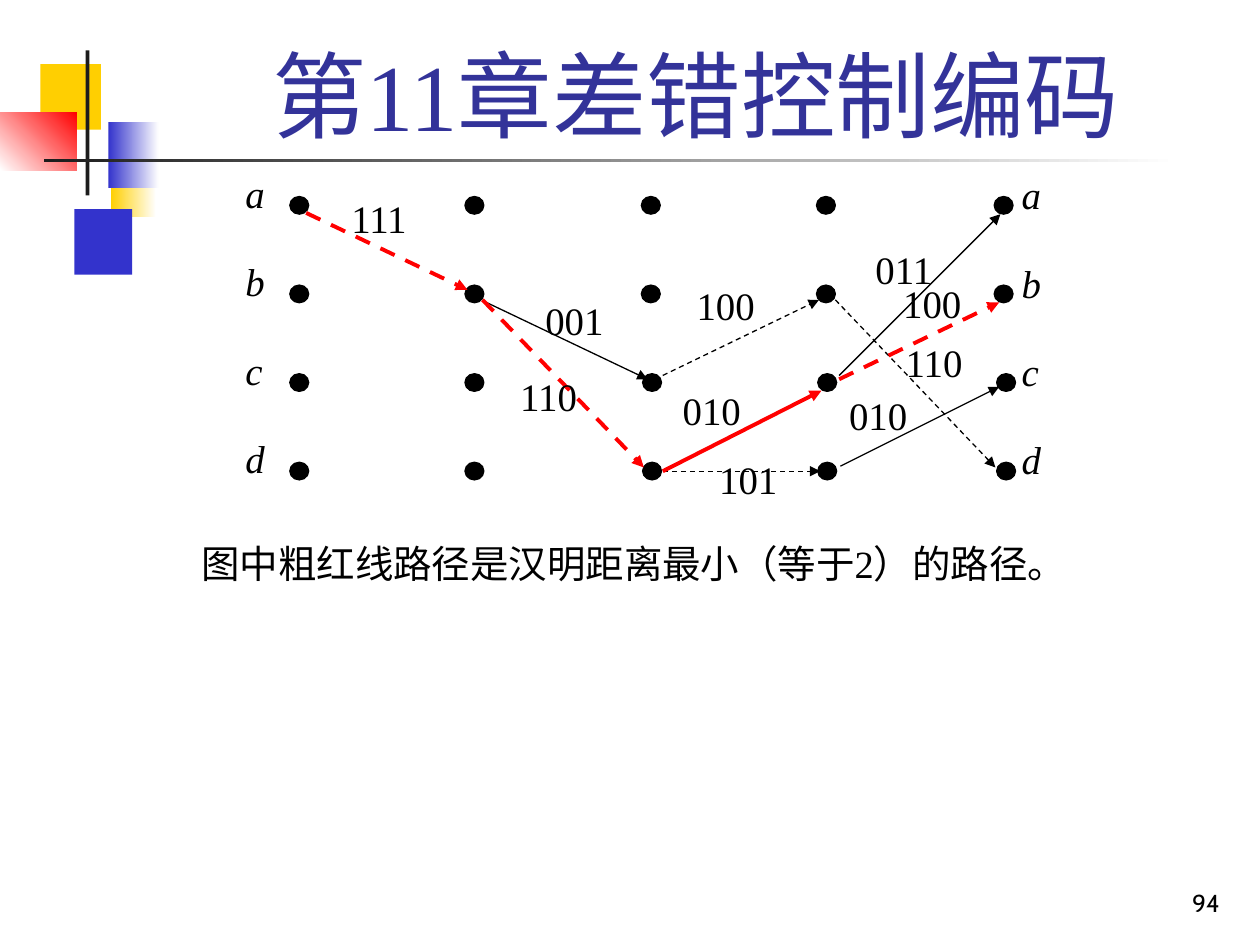
from dataclasses import dataclass
from typing import Optional

from lxml import etree
from pptx import Presentation
from pptx.dml.color import RGBColor
from pptx.enum import dml, shapes, text
from pptx.oxml import ns
from pptx.util import Inches, Pt


@dataclass(frozen=True)
class Theme:
    black: str = "000000"
    white: str = "FFFFFF"
    red: str = "FF0000"
    yellow: str = "FFCF01"
    blue: str = "3333CC"
    dark: str = "1C1C1C"
    title: str = "333399"
    serif: str = "Times New Roman"
    sans: str = "Cabin"
    title_size: float = 54
    caption_size: float = 22
    label_size: float = 22.2
    number_size: float = 14
    thin: float = 0.75
    thick: float = 2.25


@dataclass(frozen=True)
class Block:
    x: float
    y: float
    w: float
    h: float
    color: str
    fade_to: Optional[str] = None
    angle: float = 0


@dataclass(frozen=True)
class Branch:
    start: tuple[float, float]
    end: tuple[float, float]
    dashed: bool = False
    on_path: bool = False


@dataclass(frozen=True)
class Label:
    text: str
    x: float
    y: float
    w: float = 0.77
    h: float = 0.49
    size: float = Theme.label_size
    font: str = Theme.serif
    color: str = Theme.black
    italic: bool = False
    align: text.PP_ALIGN = text.PP_ALIGN.JUSTIFY
    anchor: text.MSO_ANCHOR = text.MSO_ANCHOR.TOP
    spacing: float = 0.9
    before: float = 0


T = Theme()

# Corner decoration, back to front
BACK_BLOCKS = [
    Block(0.88, 1.2, 0.36, 0.52, T.yellow, T.white),
    Block(0.59, 1.66, 0.46, 0.52, T.blue),
]
FRONT_BLOCKS = [
    Block(0.32, 0.51, 0.48, 0.52, T.yellow),
    Block(0.86, 0.97, 0.4, 0.52, T.blue, T.white),
    Block(0, 0.89, 0.61, 0.46, T.white, T.red, 45),
    Block(0.68, 0.4, 0.03, 1.15, T.dark),
    Block(0.35, 1.26, 9, 0.03, T.dark, T.white),
]

# Trellis: states are rows, time steps are columns
STATES = "abcd"
ROW_TOP, ROW_STEP = 1.56, 0.703
UPPER_COLUMNS = (2.3, 3.69, 5.09, 6.48, 7.89)
LOWER_COLUMNS = (2.3, 3.69, 5.1, 6.49, 7.91)
DOT_W, DOT_H = 0.15, 0.14

BRANCHES = [
    Branch((5.26, 3.74), (6.51, 3.74), dashed=True),
    Branch((3.86, 2.4), (5.14, 3.01)),
    Branch((6.63, 2.38), (7.9, 3.71), dashed=True),
    Branch((6.66, 2.98), (7.94, 1.7)),
    Branch((5.26, 2.98), (6.5, 2.38), dashed=True),
    Branch((6.66, 3.01), (7.93, 2.4), dashed=True, on_path=True),
    Branch((2.43, 1.69), (3.71, 2.3), dashed=True, on_path=True),
    Branch((3.83, 2.38), (5.11, 3.71), dashed=True, on_path=True),
    Branch((5.26, 3.74), (6.52, 3.1), on_path=True),
    Branch((6.67, 3.7), (7.93, 3.07)),
]
CODES = [
    Label("011", 6.85, 1.94),
    Label("010", 5.32, 3.06),
    Label("010", 6.64, 3.1),
    Label("101", 5.61, 3.61),
    Label("001", 4.23, 2.35),
    Label("111", 2.69, 1.54),
    Label("100", 7.07, 2.21),
    Label("100", 5.43, 2.23),
    Label("110", 4.03, 2.95),
    Label("110", 7.09, 2.68),
]
STATE_LABELS = [
    Label(state, x, y + i * 0.7, w=0.54, italic=True)
    for x, y in ((8.01, 1.35), (1.85, 1.34))
    for i, state in enumerate(STATES)
]

# Slide text
PAGE_TEXT = [
    Label("94", 7.7, 6.83, 2.08, 0.5, T.number_size, T.sans,
          align=text.PP_ALIGN.RIGHT, anchor=text.MSO_ANCHOR.BOTTOM, spacing=1),
    Label("第11章差错控制编码", 1.26, 0.23, 8.52, 1.01, T.title_size, color=T.title,
          align=text.PP_ALIGN.CENTER, anchor=text.MSO_ANCHOR.BOTTOM, spacing=1),
    Label("图中粗红线路径是汉明距离最小（等于2）的路径。", 1.5, 4.24, 8.5, 0.6,
          T.caption_size, align=text.PP_ALIGN.LEFT, spacing=1, before=5.5),
]


def rgb(color: str) -> RGBColor:
    return RGBColor.from_string(color)


def add_block(parent, b: Block) -> None:
    sp = parent.add_shape(shapes.MSO_SHAPE.RECTANGLE,
                          Inches(b.x), Inches(b.y), Inches(b.w), Inches(b.h))
    sp.shadow.inherit = False
    sp.line.fill.background()
    if b.fade_to is None:
        sp.fill.solid()
        sp.fill.fore_color.rgb = rgb(b.color)
        return
    sp.fill.gradient()
    sp.fill.gradient_angle = b.angle
    for stop, color in zip(sp.fill.gradient_stops, (b.color, b.fade_to)):
        stop.color.rgb = rgb(color)


def add_dot(parent, x: float, y: float) -> None:
    sp = parent.add_shape(shapes.MSO_SHAPE.OVAL,
                          Inches(x), Inches(y), Inches(DOT_W), Inches(DOT_H))
    sp.shadow.inherit = False
    sp.fill.solid()
    sp.fill.fore_color.rgb = rgb(T.black)
    sp.line.color.rgb = rgb(T.black)
    sp.line.width = Pt(T.thin)


def add_branch(parent, b: Branch) -> None:
    line = parent.add_connector(shapes.MSO_CONNECTOR.STRAIGHT,
                                *map(Inches, b.start + b.end))
    line.line.color.rgb = rgb(T.red if b.on_path else T.black)
    line.line.width = Pt(T.thick if b.on_path else T.thin)
    if b.dashed:
        line.line.dash_style = dml.MSO_LINE.DASH
    props = line._element.spPr
    etree.SubElement(props.find(ns.qn("a:ln")), ns.qn("a:tailEnd"), type="triangle")
    etree.SubElement(props, ns.qn("a:effectLst"))


def add_label(parent, item: Label) -> None:
    box = parent.add_textbox(Inches(item.x), Inches(item.y), Inches(item.w), Inches(item.h))
    tf = box.text_frame
    tf.word_wrap = True
    tf.vertical_anchor = item.anchor
    tf.text = item.text
    p = tf.paragraphs[0]
    p.alignment = item.align
    p.line_spacing = item.spacing
    p.space_before = Pt(item.before)
    font = p.runs[0].font
    font.name, font.size, font.italic = item.font, Pt(item.size), item.italic
    font.color.rgb = rgb(item.color)


def main() -> None:
    prs = Presentation()
    prs.slide_width, prs.slide_height = Inches(10), Inches(7.5)
    s = prs.slides.add_slide(prs.slide_layouts[6])

    # Decoration
    for block in BACK_BLOCKS:
        add_block(s.shapes, block)
    front = s.shapes.add_group_shape().shapes
    for block in FRONT_BLOCKS:
        add_block(front, block)

    # Page number, title and caption
    for item in PAGE_TEXT:
        add_label(s.shapes, item)

    # Trellis
    trellis = s.shapes.add_group_shape().shapes
    for row in range(len(STATES)):
        for x in UPPER_COLUMNS if row < 2 else LOWER_COLUMNS:
            add_dot(trellis, x, ROW_TOP + row * ROW_STEP)
    for branch in BRANCHES:
        add_branch(trellis, branch)
    for item in STATE_LABELS + CODES:
        add_label(trellis, item)

    prs.save("out.pptx")


if __name__ == "__main__":
    main()
